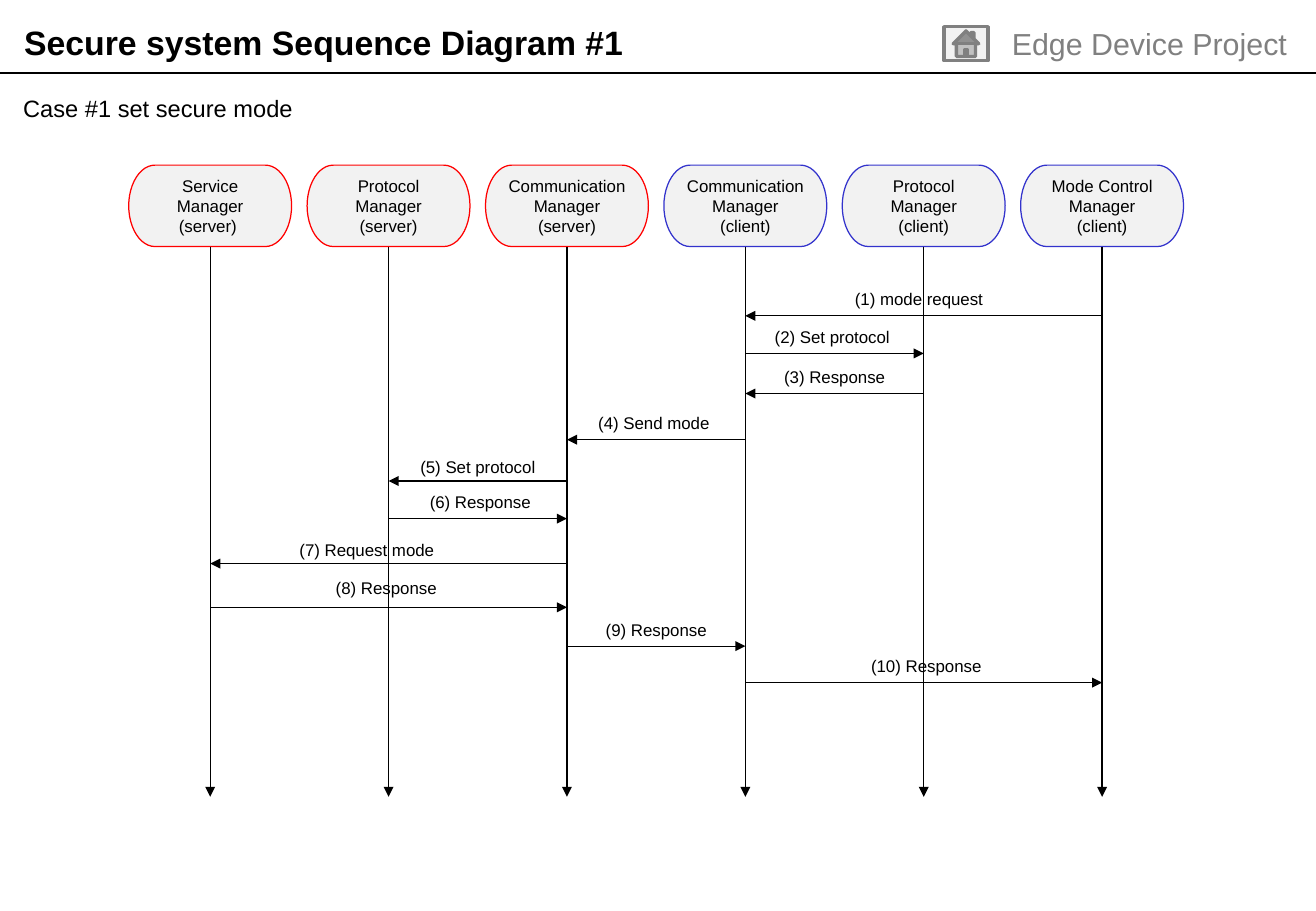
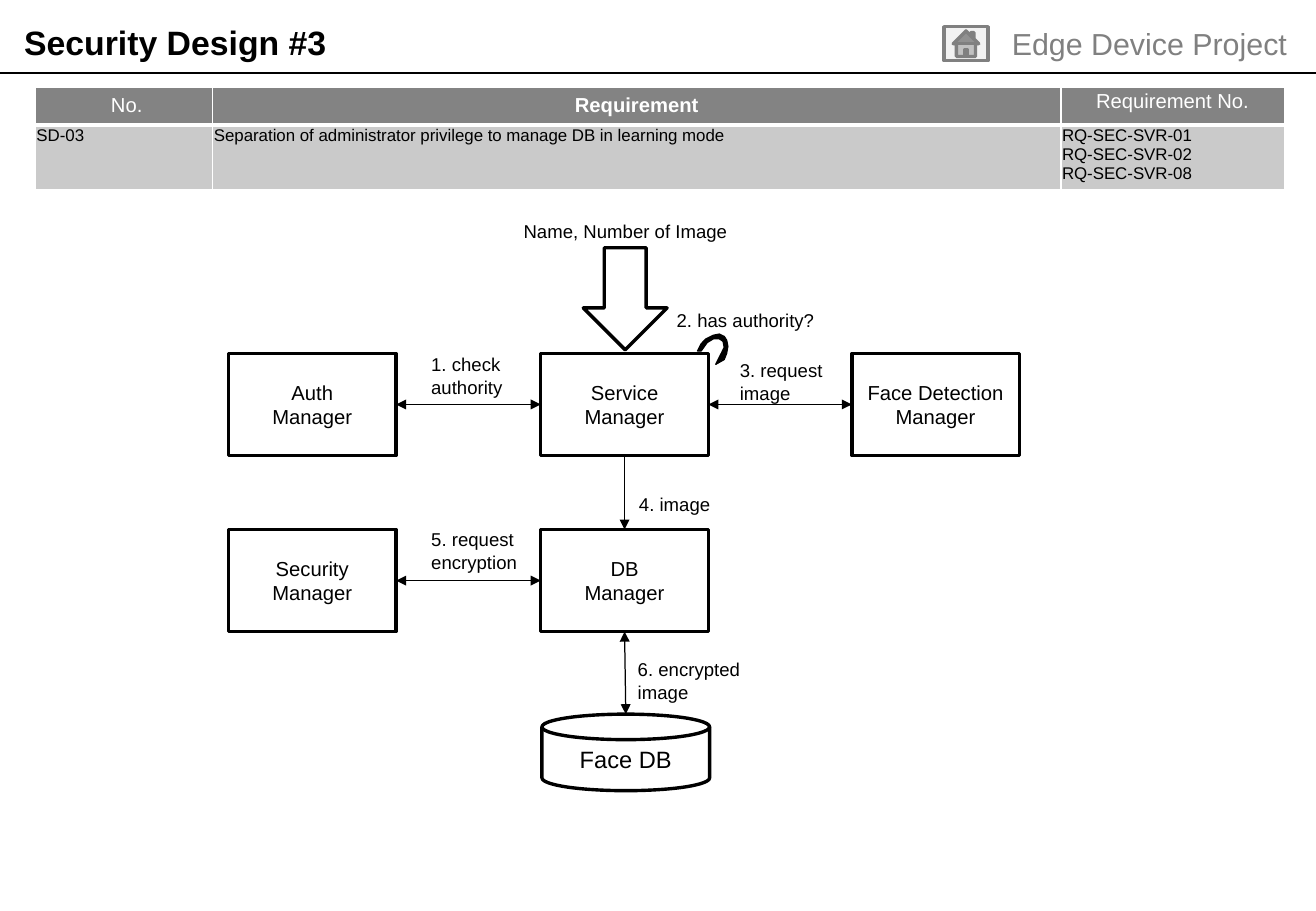
from dataclasses import dataclass

from pptx import Presentation
from pptx.dml.color import RGBColor
from pptx.enum.shapes import MSO_CONNECTOR, MSO_SHAPE
from pptx.enum.text import MSO_ANCHOR, PP_ALIGN
from pptx.oxml import parse_xml
from pptx.oxml.ns import nsdecls, qn
from pptx.util import Inches, Pt

FONT = "Arial"
BLACK = RGBColor(0x00, 0x00, 0x00)
WHITE = RGBColor(0xFF, 0xFF, 0xFF)
PALE = RGBColor(0xF2, 0xF2, 0xF2)
GREY = RGBColor(0x80, 0x80, 0x80)
HEADER_GREY = RGBColor(0x83, 0x83, 0x83)
ROW_GREY = RGBColor(0xCA, 0xCA, 0xCA)
SERVER_RED = RGBColor(0xFF, 0x00, 0x00)
CLIENT_BLUE = RGBColor(0x33, 0x33, 0xCC)

SLIDE_WIDTH, SLIDE_HEIGHT = 10.83, 7.5
THIN, THICK = 0.75, 2


# Content types
@dataclass(frozen=True)
class Lane:
    name: str
    color: RGBColor


@dataclass(frozen=True)
class Message:
    sender: int
    receiver: int
    y: float
    text: str
    dx: float = 0
    dy: float = 0


@dataclass(frozen=True)
class Component:
    name: str
    left: float
    top: float


@dataclass(frozen=True)
class Link:
    start: tuple[float, float]
    end: tuple[float, float]
    two_way: bool = True


@dataclass(frozen=True)
class Label:
    text: str
    left: float
    top: float
    width: float
    height: float = 0.47


@dataclass(frozen=True)
class Column:
    title: str
    value: str
    width: float
    bold: bool
    inset: float


# Drawing helpers
def set_font(font, size: float, color: RGBColor = BLACK, bold: bool = False) -> None:
    font.name, font.size, font.bold = FONT, Pt(size), bold
    font.color.rgb = color


def write(frame, text: str, size: float, color: RGBColor = BLACK,
          align=PP_ALIGN.LEFT, bold: bool = False) -> None:
    frame.word_wrap = True
    frame.text = text
    for paragraph in frame.paragraphs:
        paragraph.alignment = align
        set_font(paragraph.font, size, color, bold)


def add_text(slide, text: str, left: float, top: float, width: float, height: float,
             size: float, **style):
    box = slide.shapes.add_textbox(Inches(left), Inches(top), Inches(width), Inches(height))
    write(box.text_frame, text, size, **style)
    return box


def paint(shape, fill: RGBColor | None, line: RGBColor, weight: float) -> None:
    shape.shadow.inherit = False
    if fill is None:
        shape.fill.background()
    else:
        shape.fill.solid()
        shape.fill.fore_color.rgb = fill
    shape.line.color.rgb = line
    shape.line.width = Pt(weight)


def add_node(slide, kind, left: float, top: float, width: float, height: float,
             fill: RGBColor | None = None, line: RGBColor = BLACK, weight: float = THICK,
             text: str = "", size: float = 12):
    node = slide.shapes.add_shape(kind, Inches(left), Inches(top), Inches(width), Inches(height))
    paint(node, fill, line, weight)
    if text:
        node.text_frame.vertical_anchor = MSO_ANCHOR.MIDDLE
        write(node.text_frame, text, size, align=PP_ALIGN.CENTER)
    return node


def add_line(slide, start: tuple[float, float], end: tuple[float, float],
             arrows: tuple[str, ...] = ()) -> None:
    line = slide.shapes.add_connector(
        MSO_CONNECTOR.STRAIGHT, *(Inches(value) for value in (*start, *end)))
    line.line.color.rgb = BLACK
    line.line.width = Pt(THIN)
    for arrow in arrows:
        line.line._get_or_add_ln().append(
            parse_xml(f'<a:{arrow} {nsdecls("a")} type="triangle"/>'))
    line._element.spPr.append(parse_xml(f'<a:effectLst {nsdecls("a")}/>'))


def add_page(deck, title: str):
    slide = deck.slides.add_slide(deck.slide_layouts[6])
    add_line(slide, (0, 0.6), (SLIDE_WIDTH, 0.6))
    add_text(slide, title, 0.1, 0.13, 6.4, 0.44, 20, bold=True)
    add_text(slide, "Edge Device Project", 7.62, 0.16, 3.07, 0.4, 18,
             color=GREY, align=PP_ALIGN.RIGHT)
    add_node(slide, MSO_SHAPE.ACTION_BUTTON_HOME, 7.77, 0.22, 0.36, 0.28, PALE, GREY)
    return slide


# Sequence diagram
LANES = [
    Lane("Service\nManager\n(server) ", SERVER_RED),
    Lane("Protocol Manager\n(server)", SERVER_RED),
    Lane("Communication Manager\n(server)", SERVER_RED),
    Lane("Communication Manager\n(client)", CLIENT_BLUE),
    Lane("Protocol Manager\n(client)", CLIENT_BLUE),
    Lane("Mode Control Manager\n(client)", CLIENT_BLUE),
]
FIRST_LANE_X, LAST_LANE_X = 1.73, 9.07
LANE_PITCH = (LAST_LANE_X - FIRST_LANE_X) / (len(LANES) - 1)
LANE_TOP, LANE_WIDTH, LANE_HEIGHT, LIFELINE_END = 1.36, 1.34, 0.67, 6.56
MESSAGE_WIDTH, MESSAGE_HEIGHT = 2, 0.27

MESSAGES = [
    Message(5, 3, 2.6, "(1) mode request", dx=-0.04),
    Message(3, 4, 2.91, "(2) Set protocol "),
    Message(4, 3, 3.24, "(3) Response"),
    Message(3, 2, 3.62, "(4) Send mode "),
    Message(2, 1, 3.96, "(5) Set protocol", dy=0.02),
    Message(1, 2, 4.27, "(6) Response", dx=0.02),
    Message(2, 0, 4.64, "(7) Request mode", dx=-0.18, dy=0.02),
    Message(0, 2, 5, "(8) Response", dx=-0.02, dy=-0.02),
    Message(2, 3, 5.32, "(9) Response"),
    Message(3, 5, 5.62, "(10) Response", dx=0.02),
]


def lane_x(index: int) -> float:
    return FIRST_LANE_X + index * LANE_PITCH


def build_sequence(deck) -> None:
    slide = add_page(deck, "Secure system Sequence Diagram #1")
    case = add_text(slide, "Case #1 set secure mode", 0.11, 0.71, 10.58, 0.47, 14)
    case.text_frame.margin_left = Inches(0.08)
    case.text_frame.paragraphs[0].line_spacing = 1.07

    for index, lane in enumerate(LANES):
        x = lane_x(index)
        add_node(slide, MSO_SHAPE.FLOWCHART_TERMINATOR, x - LANE_WIDTH / 2, LANE_TOP,
                 LANE_WIDTH, LANE_HEIGHT, PALE, lane.color, THIN, lane.name, 10)
        add_line(slide, (x, LANE_TOP + LANE_HEIGHT), (x, LIFELINE_END), ("tailEnd",))

    for message in MESSAGES:
        start, end = lane_x(message.sender), lane_x(message.receiver)
        add_line(slide, (start, message.y), (end, message.y), ("tailEnd",))
        add_text(slide, message.text, (start + end - MESSAGE_WIDTH) / 2 + message.dx,
                 message.y - MESSAGE_HEIGHT + message.dy, MESSAGE_WIDTH, MESSAGE_HEIGHT,
                 10, align=PP_ALIGN.CENTER)


# Security design
COLUMNS = [
    Column("\u00a0No.", "SD-03", 1.46, False, 0.04),
    Column("Requirement",
           "Separation of administrator privilege to manage DB in learning mode",
           6.98, True, 0.04),
    Column("Requirement No.", "RQ-SEC-SVR-01\nRQ-SEC-SVR-02\nRQ-SEC-SVR-08",
           1.84, False, 0.01),
]
ROW_HEIGHTS = (0.31, 0.53)

LEFT_X, CENTER_X, RIGHT_X = 1.88, 4.45, 7.01
UPPER_Y, LOWER_Y = 2.91, 4.36
BOX_WIDTH, BOX_HEIGHT = 1.38, 0.84
MIDDLE_X = CENTER_X + BOX_WIDTH / 2
UPPER_MID, LOWER_MID = UPPER_Y + BOX_HEIGHT / 2, LOWER_Y + BOX_HEIGHT / 2

COMPONENTS = [
    Component("Service Manager", CENTER_X, UPPER_Y),
    Component("Auth\nManager", LEFT_X, UPPER_Y),
    Component("Face Detection\nManager", RIGHT_X, UPPER_Y),
    Component("DB\nManager", CENTER_X, LOWER_Y),
    Component("Security\nManager", LEFT_X, LOWER_Y),
]
LINKS = [
    Link((LEFT_X + BOX_WIDTH, UPPER_MID), (CENTER_X, UPPER_MID)),
    Link((CENTER_X + BOX_WIDTH, UPPER_MID), (RIGHT_X, UPPER_MID)),
    Link((LEFT_X + BOX_WIDTH, LOWER_MID), (CENTER_X, LOWER_MID)),
    Link((MIDDLE_X, UPPER_Y + BOX_HEIGHT), (MIDDLE_X, LOWER_Y), two_way=False),
    Link((5.15, 5.88), (MIDDLE_X, LOWER_Y + BOX_HEIGHT)),
]
LABELS = [
    Label("Name, Number of Image", 4.21, 1.76, 1.92, 0.29),
    Label("1. check\nauthority", 3.45, 2.86, 0.9),
    Label("2. has authority?", 5.47, 2.49, 1.38, 0.29),
    Label("3. request\nimage", 5.99, 2.91, 0.93),
    Label("4. image", 5.16, 4.01, 0.85, 0.29),
    Label("5. request\nencryption", 3.45, 4.3, 0.98),
    Label("6. encrypted\nimage", 5.15, 5.37, 1.1),
]
# Outline of the self-check loop arrow
LOOP_ARROW = [
    (5.74, 2.89), (5.77, 2.83), (5.81, 2.79), (5.87, 2.76), (5.92, 2.75), (5.96, 2.77),
    (5.98, 2.8), (5.99, 2.85), (5.98, 2.91), (5.96, 2.96), (5.89, 3), (5.94, 2.9),
    (5.96, 2.86), (5.95, 2.81), (5.92, 2.79), (5.87, 2.79), (5.82, 2.82), (5.77, 2.89),
]


def style_cell(cell, inset: float, fill: RGBColor, top: float, bottom: float) -> None:
    cell.margin_left = cell.margin_right = Inches(0.01)
    cell.margin_top = cell.margin_bottom = Inches(inset)
    properties = cell._tc.get_or_add_tcPr()
    for side, weight in (("L", 1), ("R", 1), ("T", top), ("B", bottom)):
        properties.append(parse_xml(
            f'<a:ln{side} {nsdecls("a")} w="{Pt(weight)}"><a:solidFill>'
            f'<a:srgbClr val="{WHITE}"/></a:solidFill></a:ln{side}>'))
    cell.fill.solid()
    cell.fill.fore_color.rgb = fill


def write_cell(cell, text: str, size: float, color: RGBColor, bold: bool,
               align, spacing: float) -> None:
    cell.text = text
    for paragraph in cell.text_frame.paragraphs:
        paragraph.alignment = align
        paragraph.line_spacing = spacing
        # Run fonts take precedence over the table style
        set_font(paragraph.runs[0].font, size, color, bold)


def add_requirements(slide) -> None:
    table = slide.shapes.add_table(
        2, len(COLUMNS), Inches(0.29), Inches(0.72),
        Inches(sum(column.width for column in COLUMNS)), Inches(sum(ROW_HEIGHTS))).table
    for row, height in zip(table.rows, ROW_HEIGHTS):
        row.height = Inches(height)
    for index, column in enumerate(COLUMNS):
        table.columns[index].width = Inches(column.width)
        header, body = table.cell(0, index), table.cell(1, index)
        style_cell(header, column.inset, HEADER_GREY, 1, 3)
        write_cell(header, column.title, 12, WHITE, column.bold, PP_ALIGN.CENTER, 1.07)
        style_cell(body, 0.01, ROW_GREY, 3, 1)
        write_cell(body, column.value, 10, BLACK, False, PP_ALIGN.LEFT, 1.0)


def build_security(deck) -> None:
    slide = add_page(deck, "Security Design #3")
    add_requirements(slide)
    for component in COMPONENTS:
        add_node(slide, MSO_SHAPE.RECTANGLE, component.left, component.top,
                 BOX_WIDTH, BOX_HEIGHT, WHITE, text=component.name)
    add_node(slide, MSO_SHAPE.FLOWCHART_MAGNETIC_DISK, 4.46, 5.88, BOX_WIDTH, 0.63,
             text="Face DB", size=14)
    add_node(slide, MSO_SHAPE.DOWN_ARROW, 4.8, 2.04, 0.69, 0.84)
    for link in LINKS:
        add_line(slide, link.start, link.end,
                 ("headEnd", "tailEnd") if link.two_way else ("tailEnd",))

    points = [(Inches(x), Inches(y)) for x, y in LOOP_ARROW]
    outline = slide.shapes.build_freeform(*points[0])
    outline.add_line_segments(points[1:], close=True)
    paint(outline.convert_to_shape(), BLACK, BLACK, THIN)

    for label in LABELS:
        add_text(slide, label.text, label.left, label.top, label.width, label.height, 11)


def main() -> None:
    deck = Presentation()
    deck.slide_width, deck.slide_height = Inches(SLIDE_WIDTH), Inches(SLIDE_HEIGHT)
    build_sequence(deck)
    build_security(deck)
    deck.save("out.pptx")


if __name__ == "__main__":
    main()
